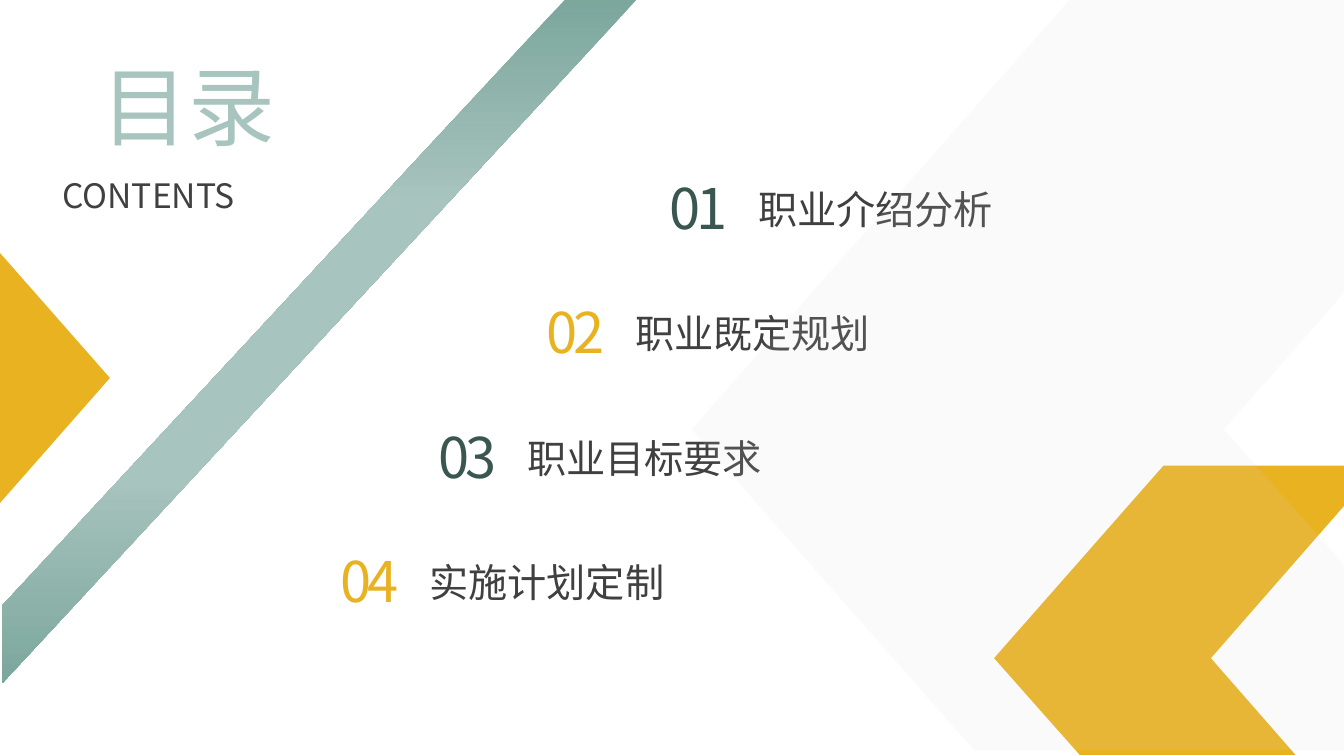
from pptx import Presentation
from pptx.dml.color import RGBColor
from pptx.enum.text import PP_ALIGN
from pptx.oxml import parse_xml
from pptx.oxml.ns import nsdecls, qn
from pptx.util import Inches, Pt
from lxml.etree import SubElement

THEME = dict(
    font="Noto Sans CJK SC",
    gold="E9B221", green="3A5650", ink="404040", mist="D9D9D9",
    sage="A8C4BE", deep_sage="7CA79D",
    title=62, subtitle=24, number=40, topic=28,
)

# Grid: 1333 columns by 750 rows
CELL = Inches(0.01)
COLUMNS, ROWS = 1333, 750

deck = Presentation()
deck.slide_width, deck.slide_height = COLUMNS * CELL, ROWS * CELL
slide = deck.slides.add_slide(deck.slide_layouts[6])


def outline(points, color):
    builder = slide.shapes.build_freeform(*points[0], scale=CELL)
    builder.add_line_segments(points[1:], close=True)
    panel = builder.convert_to_shape()
    panel.shadow.inherit = False
    panel.line.fill.background()
    panel.fill.solid()
    panel.fill.fore_color.rgb = RGBColor.from_string(THEME[color])
    return panel


def label(shapes, text, box, size, color, spacing=None):
    frame = shapes.add_textbox(*(v * CELL for v in box)).text_frame
    frame.word_wrap = True
    frame.text = text
    run = frame.paragraphs[0].runs[0]
    run.font.size = Pt(THEME[size])
    run.font.color.rgb = RGBColor.from_string(THEME[color])
    run.font.name = THEME["font"]
    props = run.font._element
    SubElement(props, qn("a:ea")).set("typeface", THEME["font"])
    if spacing:
        props.set("spc", str(spacing * 100))
    return frame


# Diagonal band, darker at both ends
band = outline([(560, 0), (631, 0), (2, 678), (2, 601)], "sage")
stops = "".join(
    f'<a:gs pos="{share * 1000}"><a:srgbClr val="{THEME[color]}"/></a:gs>'
    for share, color in [(0, "deep_sage"), (30, "sage"), (69, "sage"), (100, "deep_sage")]
)
gradient = parse_xml(
    f'<a:gradFill {nsdecls("a")} rotWithShape="1"><a:gsLst>{stops}</a:gsLst>'
    '<a:lin ang="5400000" scaled="0"/></a:gradFill>'
)
solid = band._element.spPr.find(qn("a:solidFill"))
solid.getparent().replace(solid, gradient)

# Gold arrowheads at the left and right edges
outline([(0, 251), (109, 375), (0, 499)], "gold")
outline([(1154, 462), (COLUMNS, 462), (COLUMNS, 502), (1201, 653),
         (1285, 749), (1071, 749), (986, 653)], "gold")

# Heading
heading = label(slide.shapes, "目录", (101, 52, 178, 104), "title", "sage")
heading.margin_left = heading.margin_right = heading.margin_top = heading.margin_bottom = 0
subtitle = label(slide.shapes, "CONTENTS", (52, 159, 277, 54), "subtitle", "ink").paragraphs[0]
subtitle.alignment = PP_ALIGN.JUSTIFY
subtitle.line_spacing = 1.25
subtitle.space_after = Pt(8)

# Agenda, stepping left along the band
FIRST_ROW, ROW_STEP = 167, 123.4
agenda = [(654, "职业介绍分析"), (532, "职业既定规划"),
          (425, "职业目标要求"), (328, "实施计划定制")]
for index, (left, topic) in enumerate(agenda):
    top = round(FIRST_ROW + index * ROW_STEP)
    entry = slide.shapes.add_group_shape().shapes
    label(entry, topic, (left + 88, top + 12, 326, 57), "topic", "ink")
    label(entry, f"{index + 1:02d}", (left, top, 115, 77), "number",
          "gold" if index % 2 else "green", spacing=-3)

# Pale chevron veil over the right side
veil = outline([(1337, 744), (966, 744), (686, 426), (1066, -6), (1337, -6),
                (1337, 286), (1214, 426), (1337, 565)], "mist")
veil_color = veil._element.spPr.find(qn("a:solidFill"))[0]
SubElement(veil_color, qn("a:alpha")).set("val", "12000")

deck.save("out.pptx")
